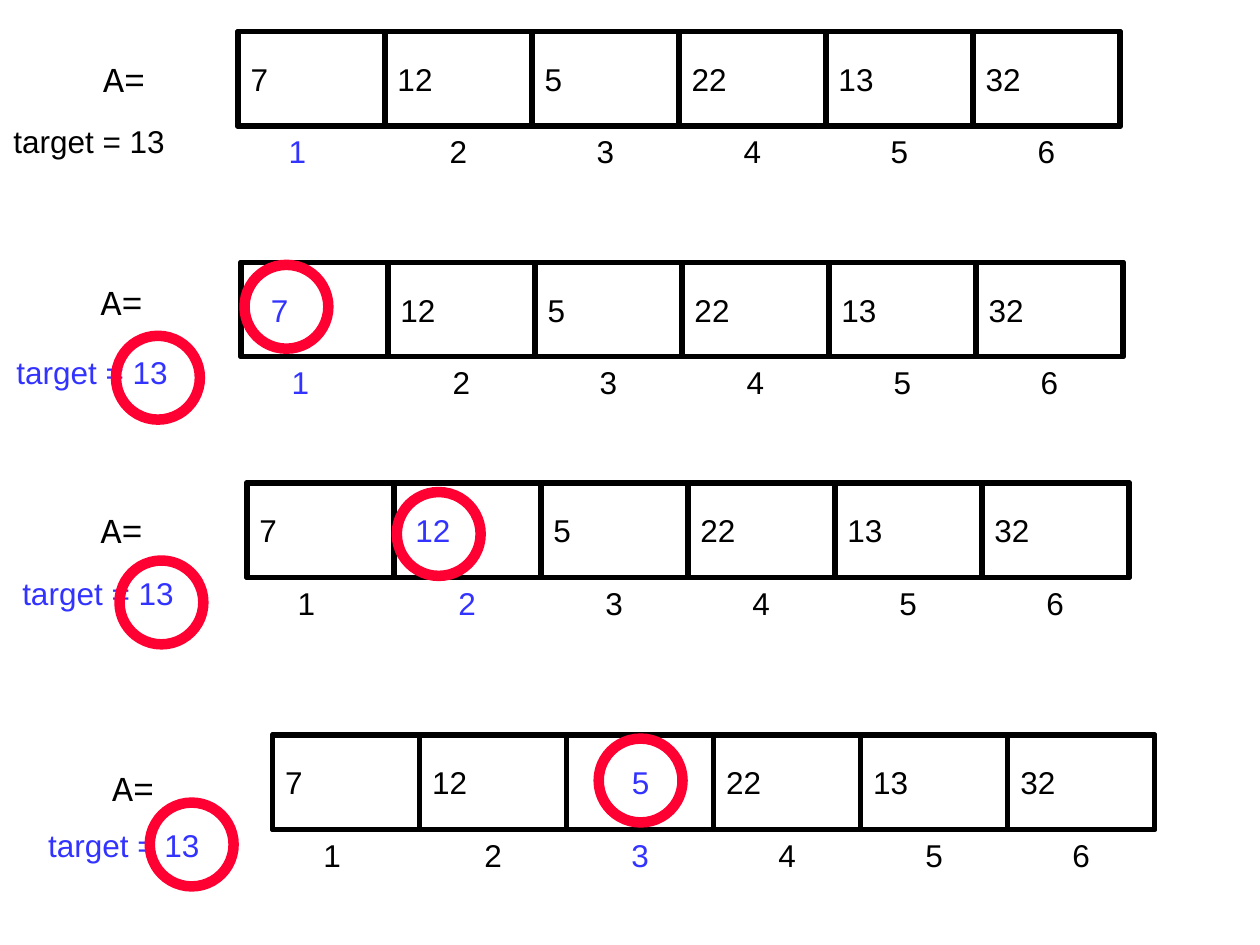
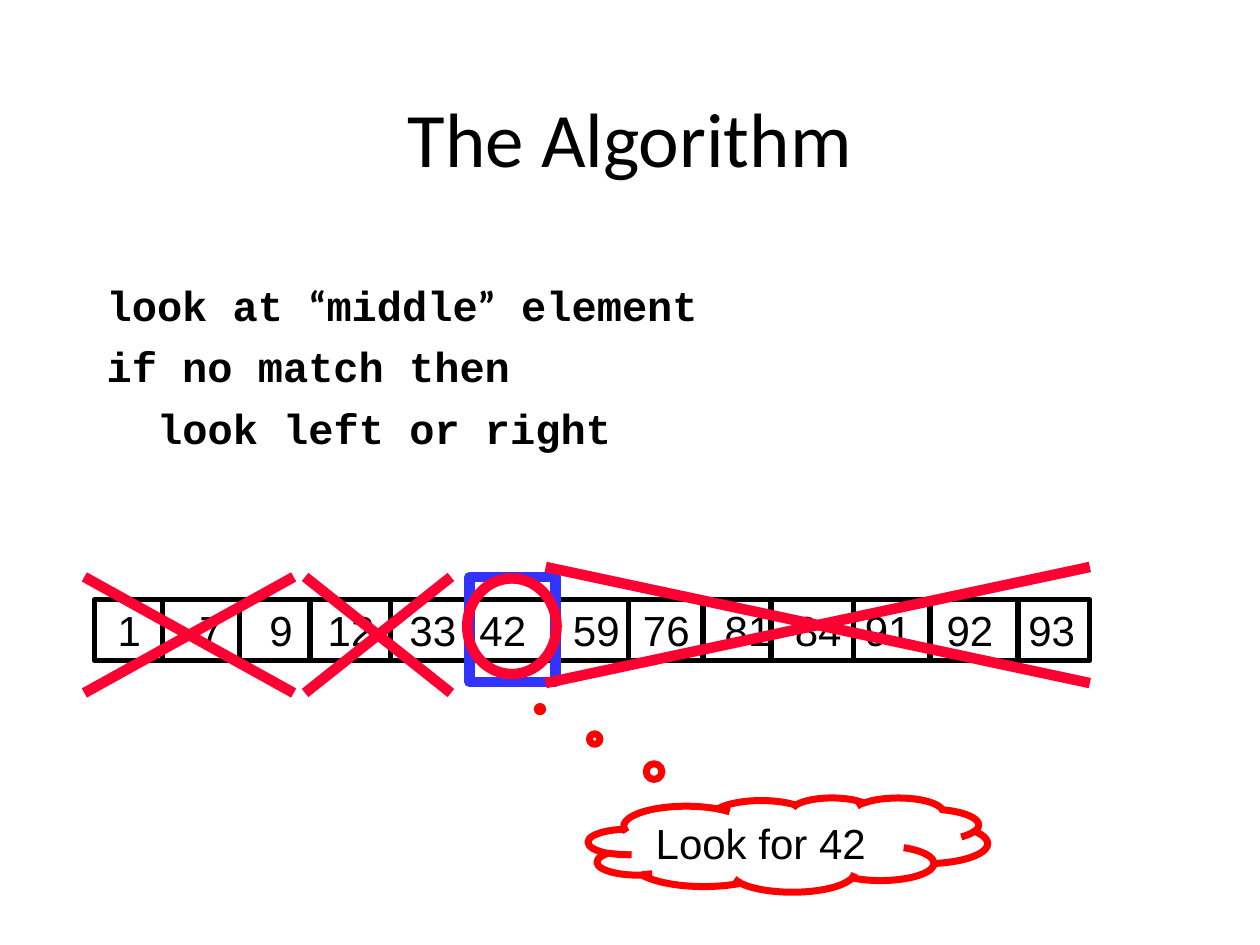
from itertools import accumulate, groupby

from pptx import Presentation
from pptx.dml.color import RGBColor
from pptx.enum.shapes import MSO_CONNECTOR, MSO_SHAPE
from pptx.enum.text import MSO_ANCHOR, PP_ALIGN
from pptx.oxml.ns import qn
from pptx.util import Cm, Pt
from lxml import etree

BLACK = RGBColor(0x00, 0x00, 0x00)
BLUE = RGBColor(0x33, 0x33, 0xFF)
PINK = RGBColor(0xFF, 0x00, 0x33)
RED = RGBColor(0xFF, 0x00, 0x00)

SANS, TITLE, MONO = "Arial", "Calibri", "Courier New"
RECT, OVAL = MSO_SHAPE.RECTANGLE, MSO_SHAPE.OVAL
CLOUD = MSO_SHAPE.CLOUD_CALLOUT
STRAIGHT = MSO_CONNECTOR.STRAIGHT
LEFT, CENTER = PP_ALIGN.LEFT, PP_ALIGN.CENTER
TOP, MIDDLE = MSO_ANCHOR.TOP, MSO_ANCHOR.MIDDLE

# Array rows of the linear search
VALUES = (7, 12, 5, 22, 13, 32)
ROW_W, ROW_H = 17.78, 1.9
CELL_W = ROW_W / len(VALUES)
RING = 1.69

# Sorted array of the binary search
SORTED = (1, 7, 9, 12, 33, 42, 59, 76, 81, 84, 91, 92, 93)
PITCHES = (7, 6, 5, 7, 6, 8, 6, 7, 6, 6, 7, 7)
UNIT = 0.2354
BARS = (3.28, 4.83, 6.25, 7.87, 9.42, 11.2, 12.67,
        15.54, 17.2, 18.75, 20.52, 21.97)


def write(shape, text, size=18, font=SANS, color=BLACK, bold=False,
          align=LEFT, anchor=TOP, inset=0, before=0, indents=(), tabs=()):
    """Fill a shape with text, one paragraph a line; curly quotes use TITLE."""
    frame = shape.text_frame
    frame.word_wrap = True
    frame.vertical_anchor = anchor
    frame.margin_left = Cm(0.25 + inset)
    for i, line in enumerate(text.split("\n")):
        para = frame.add_paragraph() if i else frame.paragraphs[0]
        para.alignment = align
        para.space_before = Pt(before)
        props = para._p.get_or_add_pPr()
        if indents:
            props.set("marL", str(Cm(indents[i])))
        if tabs:
            stops = etree.SubElement(props, qn("a:tabLst"))
            for x in tabs:
                etree.SubElement(stops, qn("a:tab"), pos=str(Cm(x)), algn="l")
        for quote, chars in groupby(line, key=lambda c: c in "“”"):
            run = para.add_run()
            run.text = "".join(chars)
            run.font.size = Pt(size)
            run.font.name = TITLE if quote else font
            run.font.bold = bold
            run.font.color.rgb = color


def label(shapes, text, x, y, w, h, **style):
    write(shapes.add_textbox(Cm(x), Cm(y), Cm(w), Cm(h)), text, **style)


def outline(shapes, kind, x, y, w, h, color=BLACK, width=3):
    shape = shapes.add_shape(kind, Cm(x), Cm(y), Cm(w), Cm(h))
    shape.shadow.inherit = False
    shape.fill.background()
    shape.line.color.rgb = color
    shape.line.width = Pt(width)
    return shape


def stroke(shapes, x1, y1, x2, y2, color=BLACK, width=3):
    line = shapes.add_connector(STRAIGHT, Cm(x1), Cm(y1), Cm(x2), Cm(y2))
    line.line.color.rgb = color
    line.line.width = Pt(width)
    etree.SubElement(line._element.spPr, qn("a:effectLst"))


def cross(slide, x1, y1, x2, y2):
    shapes = slide.shapes.add_group_shape().shapes
    stroke(shapes, x1, y1, x2, y2, PINK, 6)
    stroke(shapes, x2, y1, x1, y2, PINK, 6)


def array(shapes, x, y, name, step, inset=0, rings=()):
    """Draw one search step; rings mark the compared values."""
    outline(shapes, RECT, x, y, ROW_W, ROW_H)
    label(shapes, "A=", *name, 1.6, 1.12, size=20, font=MONO)
    for i, value in enumerate(VALUES):
        left = x + i * CELL_W
        hit = i == step
        mark = hit and bool(rings)
        cell = outline(shapes, RECT, left, y, CELL_W, ROW_H)
        write(cell, str(value), anchor=MIDDLE, inset=inset if mark else 0,
              color=BLUE if mark else BLACK)
        label(shapes, str(i + 1), left + (1.05 if i else 0.77), y + ROW_H,
              1, 1.27, color=BLUE if hit else BLACK)
    label(shapes, "target = 13", x - 4.78, y + 1.7, 4.78, 1.27,
          color=BLUE if rings else BLACK)
    for ring in rings:
        outline(shapes, OVAL, *ring, RING, RING, PINK, 6)


def linear(slide):
    array(slide.shapes, 4.8, 0.64, (1.83, 1.04), 0)
    steps = (
        (4.86, 5.29, (1.78, 5.54), 0, 0.35, ((2.34, 6.77), (4.93, 5.34))),
        (4.98, 9.74, (1.78, 10.13), 1, 0.18, ((2.41, 11.3), (8, 9.92))),
        (5.5, 14.82, (2.01, 15.32), 2, 1.06, ((3.02, 16.18), (12.07, 14.89))),
    )
    for step in steps:
        array(slide.shapes.add_group_shape().shapes, *step)


def binary(slide):
    shapes = slide.shapes
    label(shapes, "The Algorithm", 1.9, 1.7, 21.6, 3.18, size=44,
          font=TITLE, align=CENTER)
    label(shapes, "look at “middle” element\nif no match then\n"
          "look left or right", 1.9, 5.5, 21.6, 11.43, size=24, font=MONO,
          bold=True, before=6.5, indents=(0, 0, 1.02))

    # Sorted array
    group = shapes.add_group_shape().shapes
    outline(group, RECT, 1.9, 12.09, 12.27, 1.22)
    outline(group, RECT, 14.17, 12.09, 7.8, 1.22)
    for x in BARS:
        stroke(group, x, 12.07, x, 13.33)
    label(group, "\t".join(map(str, SORTED)), 2.12, 12.07, 20.45, 1.27,
          size=24, tabs=[n * UNIT for n in accumulate(PITCHES)])

    # Discarded parts and the match
    outline(shapes, RECT, 9.47, 11.63, 1.73, 2.12, BLUE, 6)
    cross(slide, 11, 11.43, 21.97, 13.77)
    cross(slide, 1.7, 11.63, 5.92, 13.97)
    cross(slide, 6.15, 11.63, 9.09, 13.97)
    cloud = outline(shapes, CLOUD, 11.86, 16.08, 8.05, 1.9, RED, 4)
    cloud.adjustments[0] = -0.621
    cloud.adjustments[1] = -1.439
    write(cloud, "Look for 42", size=24, anchor=MIDDLE)
    outline(shapes, OVAL, 9.42, 11.66, 1.8, 1.93, PINK, 6)


def main():
    deck = Presentation()
    deck.slide_width, deck.slide_height = Cm(25.4), Cm(19.05)
    blank = deck.slide_layouts[6]
    for build in (linear, binary):
        build(deck.slides.add_slide(blank))
    deck.save("out.pptx")


main()
